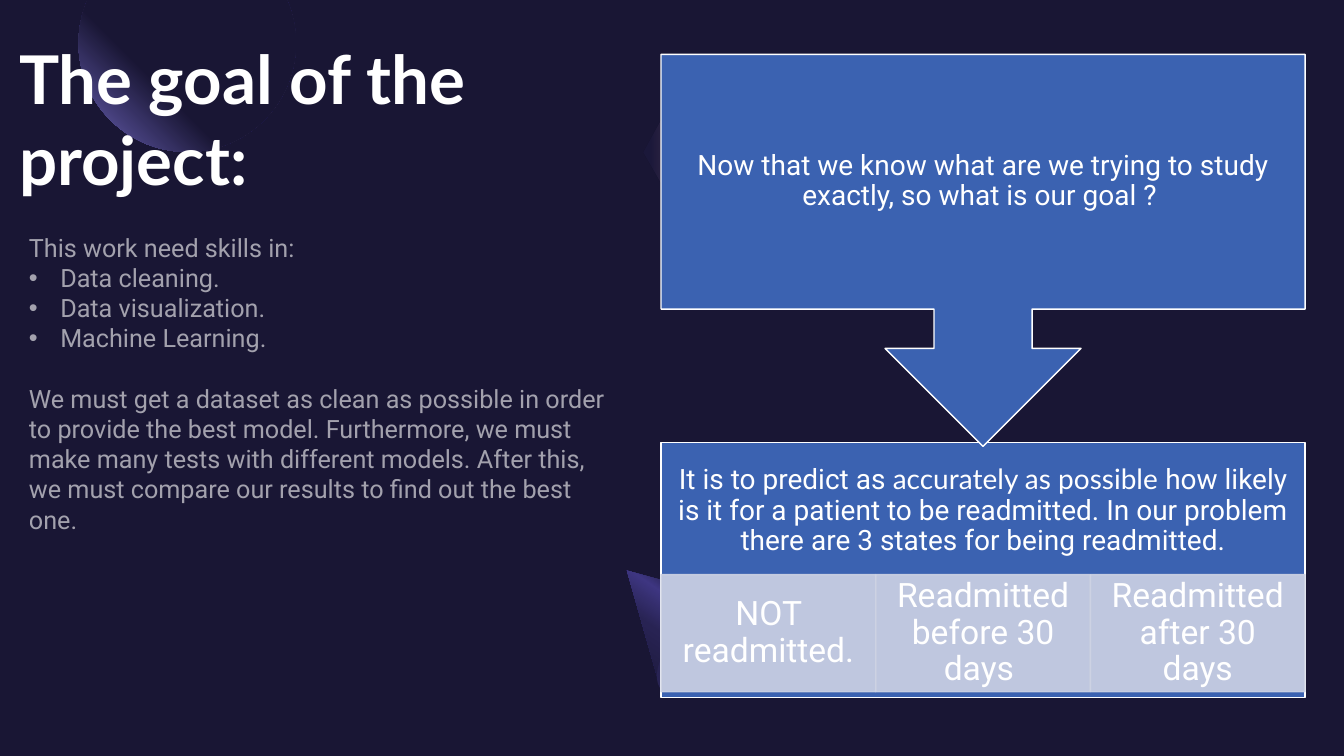
from dataclasses import dataclass
from math import asin, cos, pi, sin

from lxml.etree import SubElement
from pptx import Presentation
from pptx.dml.color import RGBColor
from pptx.enum.shapes import MSO_SHAPE
from pptx.enum.text import MSO_ANCHOR, MSO_AUTO_SIZE, PP_ALIGN
from pptx.oxml.ns import qn
from pptx.util import Cm, Pt

NIGHT = RGBColor(0x19, 0x16, 0x34)
INDIGO = RGBColor(0x28, 0x23, 0x53)
VIOLET = RGBColor(0x3E, 0x36, 0x81)
LAVENDER = RGBColor(0x6F, 0x66, 0xBE)
PINK = RGBColor(0xDB, 0x94, 0xA6)
BLUE = RGBColor(0x3B, 0x62, 0xB1)
PALE = RGBColor(0xCE, 0xD3, 0xE4)
WHITE = RGBColor(0xFF, 0xFF, 0xFF)

LEFT, WIDTH = 16.66, 16.23  # diagram column, cm


@dataclass
class Stop:
    pos: int
    color: RGBColor
    alpha: int = 100


@dataclass
class Span:
    text: str
    font: str = "Roboto"


@dataclass
class Box:
    kind: MSO_SHAPE
    left: float
    top: float
    width: float
    height: float
    spans: list[Span]
    size: int = 20
    color: RGBColor = BLUE
    line: RGBColor = WHITE
    alpha: int = 100
    insets: tuple[float, float, float, float] = (0.41, 0.41, 0.41, 0.41)


def set_alpha(element, percent: int) -> None:
    for clr in element.iter(qn("a:srgbClr")):
        SubElement(clr, qn("a:alpha")).set("val", str(percent * 1000))


def add_run(p, span: Span, size: int, bold: bool = False):
    r = p.add_run()
    r.text = span.text
    r.font.name = span.font
    r.font.size = Pt(size)
    r.font.bold = bold
    r.font.color.rgb = WHITE
    return r


def add_outline(slide, points: list[tuple[float, float]], stops: list[Stop], angle: int | None):
    """Freeform with a linear gradient, or one centred on the top right corner."""
    emu = [(Cm(x), Cm(y)) for x, y in points]
    builder = slide.shapes.build_freeform(*emu[0])
    builder.add_line_segments(emu[1:], close=True)
    sp = builder.convert_to_shape()
    sp.shadow.inherit = False
    sp.line.fill.background()
    sp.fill.gradient()
    grad = sp._element.spPr.find(qn("a:gradFill"))
    for child in list(grad):
        grad.remove(child)
    gs_list = SubElement(grad, qn("a:gsLst"))
    for stop in stops:
        gs = SubElement(gs_list, qn("a:gs"), pos=str(stop.pos * 1000))
        clr = SubElement(gs, qn("a:srgbClr"), val=str(stop.color))
        if stop.alpha < 100:
            SubElement(clr, qn("a:alpha"), val=str(stop.alpha * 1000))
    if angle is None:
        circle = SubElement(grad, qn("a:path"), path="circle")
        SubElement(circle, qn("a:fillToRect"), l="100000", b="100000")
    else:
        SubElement(grad, qn("a:lin"), ang=str(angle * 60000), scaled="0")
    return sp


def add_box(slide, box: Box) -> None:
    sp = slide.shapes.add_shape(box.kind, Cm(box.left), Cm(box.top), Cm(box.width), Cm(box.height))
    sp.shadow.inherit = False
    sp.fill.solid()
    sp.fill.fore_color.rgb = box.color
    sp.line.color.rgb = box.line
    sp.line.width = Pt(1)
    if box.alpha < 100:
        set_alpha(sp._element.spPr, box.alpha)
    tf = sp.text_frame
    tf.word_wrap = True
    tf.vertical_anchor = MSO_ANCHOR.MIDDLE
    tf.margin_left, tf.margin_top, tf.margin_right, tf.margin_bottom = map(Cm, box.insets)
    p = tf.paragraphs[0]
    p.alignment = PP_ALIGN.CENTER
    p.line_spacing = 0.9
    for span in box.spans:
        add_run(p, span, box.size)


def add_title(slide) -> None:
    sp = slide.shapes.title
    sp.left, sp.top, sp.width, sp.height = Cm(0.48), Cm(0.56), Cm(15.67), Cm(4.83)
    tf = sp.text_frame
    tf.auto_size = MSO_AUTO_SIZE.NONE
    tf.word_wrap = True
    tf.vertical_anchor = MSO_ANCHOR.MIDDLE
    tf.margin_left = tf.margin_top = tf.margin_right = tf.margin_bottom = 0
    p = tf.paragraphs[0]
    p.alignment = PP_ALIGN.LEFT
    add_run(p, Span("The goal of the project:", "Lato"), 48, bold=True)


def add_skills(slide) -> None:
    lines = [
        ("This work need skills in:", False),
        ("Data cleaning.", True),
        ("Data visualization.", True),
        ("Machine Learning.", True),
        ("We must get a dataset as clean as possible in order to provide the best model. "
         "Furthermore, we must make many tests with different models. After this, we must "
         "compare our results to find out the best one.", False),
    ]
    tf = slide.shapes.add_textbox(Cm(0.48), Cm(5.72), Cm(15.11), Cm(7.19)).text_frame
    tf.word_wrap = True
    for i, (text, bulleted) in enumerate(lines):
        p = tf.paragraphs[0] if i == 0 else tf.add_paragraph()
        r = add_run(p, Span(text), 18)
        set_alpha(r._r, 60)
        if bulleted:
            pPr = p._p.get_or_add_pPr()
            pPr.set("marL", str(Cm(0.79)))
            pPr.set("indent", str(-Cm(0.79)))
            SubElement(pPr, qn("a:buFont"), typeface="Arial")
            SubElement(pPr, qn("a:buChar"), char="•")
    p.space_before = Pt(21.5)


def add_decorations(slide) -> None:
    # Disc cut off by the top edge, behind the title
    cx, cy, radius, steps = 4.72, 1.09, 2.74, 72
    start = -asin(cy / radius)
    angles = [start + (pi - 2 * start) * i / steps for i in range(steps + 1)]
    arc = [(cx + radius * cos(a), cy + radius * sin(a)) for a in angles]
    disc = add_outline(slide, arc, [Stop(60, NIGHT), Stop(100, LAVENDER)], None)
    title = slide.shapes.title._element
    title.addprevious(disc._element)

    # Cube face and cone peeking out behind the diagram
    face = [(16.69, 4.67), (16.21, 3.84), (16.69, 2.97), (17.17, 3.84)]
    add_outline(slide, face, [Stop(20, INDIGO, 20), Stop(100, PINK, 20)], 0)
    cone = [(15.8, 14.38), (18.67, 15.16), (18.82, 15.27), (18.95, 15.6), (18.82, 16.15),
            (18.29, 16.87), (17.58, 17.37), (17.02, 17.5), (16.69, 17.37), (16.61, 17.22)]
    add_outline(slide, cone, [Stop(30, INDIGO), Stop(40, VIOLET), Stop(60, INDIGO),
                              Stop(100, NIGHT)], 125)
    base = slide.shapes.add_shape(MSO_SHAPE.OVAL, Cm(16.99), Cm(14.83), Cm(1.5), Cm(3))
    base.rotation = 45
    base.shadow.inherit = False
    base.fill.solid()
    base.fill.fore_color.rgb = INDIGO
    base.line.fill.background()


def add_diagram(slide) -> None:
    add_box(slide, Box(MSO_SHAPE.RECTANGLE, LEFT, 11.15, WIDTH, 6.43, [
        Span("It is to predict as "),
        Span("accurately as possible ", "Lato"),
        Span("how likely is it for a patient to be readmitted. In our problem there are "
             "3 states for being readmitted."),
    ], insets=(0.41, 0.41, 0.41, 3.38)))
    states = ["NOT readmitted.", "Readmitted before 30 days ", "Readmitted after 30 days"]
    cell = WIDTH / len(states)
    for i, state in enumerate(states):
        add_box(slide, Box(MSO_SHAPE.RECTANGLE, LEFT + i * cell, 14.48, cell, 2.95, [Span(state)],
                           24, PALE, PALE, 90, (0.48, 0.08, 0.48, 0.08)))
    add_box(slide, Box(MSO_SHAPE.DOWN_ARROW_CALLOUT, LEFT, 1.37, WIDTH, 9.88, [
        Span("Now that we know what are we trying to study exactly, so what is our goal ? ")]))


def main() -> None:
    prs = Presentation()
    prs.slide_width, prs.slide_height = Cm(33.87), Cm(19.05)
    slide = prs.slides.add_slide(prs.slide_layouts[5])
    slide.background.fill.solid()
    slide.background.fill.fore_color.rgb = NIGHT
    add_title(slide)
    add_decorations(slide)
    add_diagram(slide)
    add_skills(slide)
    prs.save("out.pptx")


if __name__ == "__main__":
    main()
